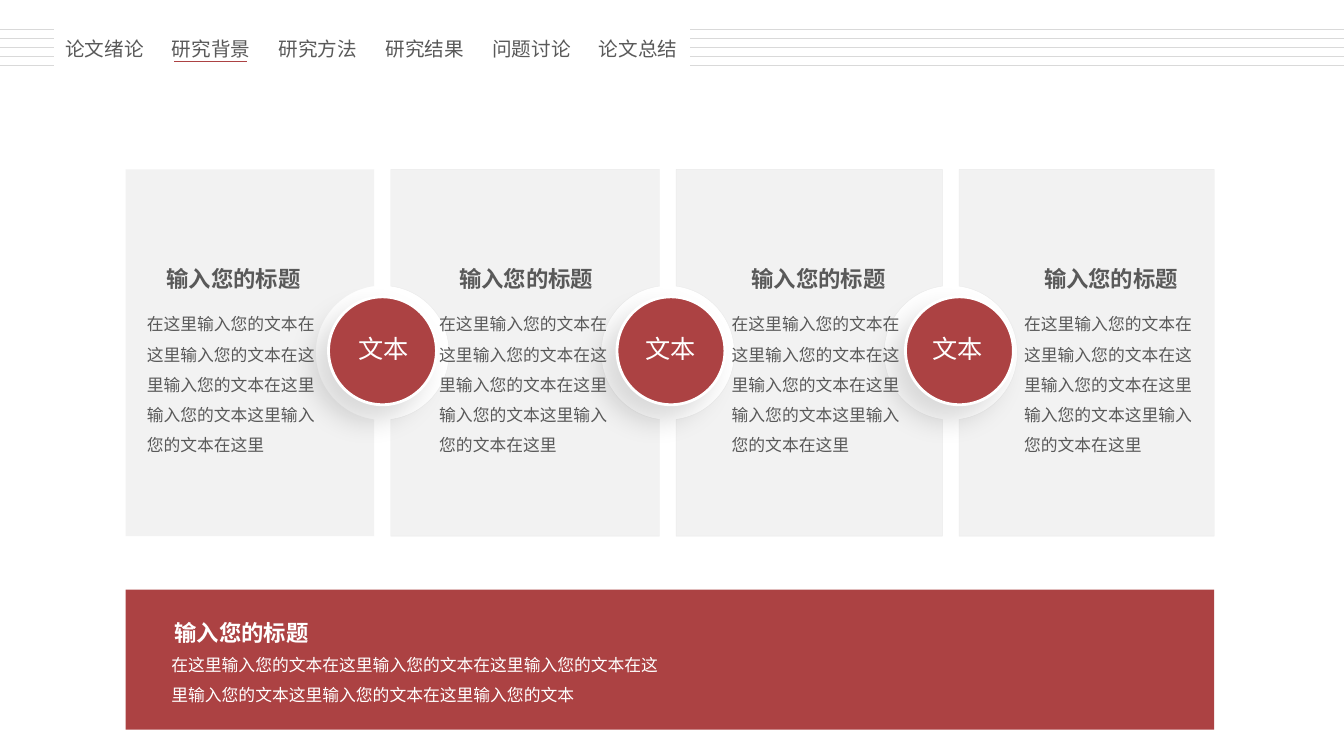
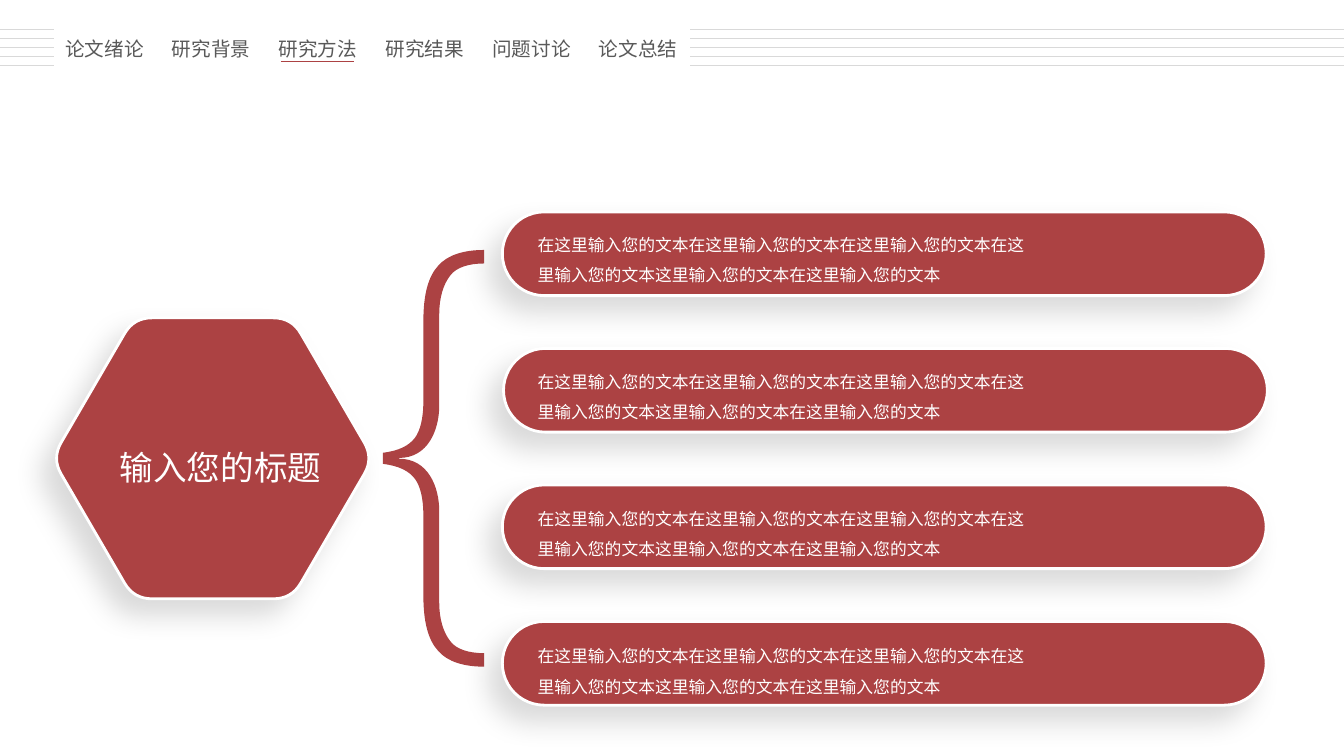
from lxml import etree
from math import dist
from pptx import Presentation
from pptx import util as u
from pptx.dml.color import RGBColor
from pptx.enum import shapes, text
from pptx.oxml.ns import qn

# Shared style; all lengths are in centimetres
COLOURS = {"red": "AC4243", "panel": "F2F2F2", "edge": "EAEAEA",
           "rule": "D9D9D9", "ink": "595959", "white": "FFFFFF",
           "shadow": "000000"}
FONT = "Noto Sans CJK SC"
SLIDE_WIDTH, SLIDE_HEIGHT = 33.87, 19.05
TABS = ["论文绪论", "研究背景", "研究方法", "研究结果", "问题讨论", "论文总结"]
HEADING = "输入您的标题"
CARD_TEXT = "在这里输入您的文本" * 4 + "这里输入您的文本在这里"
WIDE_TEXT = CARD_TEXT + "输入您的文本"


def colour(name):
    return RGBColor.from_string(COLOURS[name])


def paint(shape, fill, line=None, width=0.25):
    shape.shadow.inherit = False
    shape.fill.solid()
    shape.fill.fore_color.rgb = colour(fill)
    if line:
        shape.line.color.rgb = colour(line)
        shape.line.width = u.Pt(width)
    else:
        shape.line.fill.background()


def paint_raised(shape):
    """Red fill, white rim and a soft shadow to the lower left."""
    paint(shape, "red", "white", 2)
    effects = shape._element.spPr.find(qn("a:effectLst"))
    cast = etree.SubElement(effects, qn("a:outerShdw"), blurRad=str(u.Pt(20)),
                            dist=str(u.Pt(15)), dir=str(135 * 60000),
                            algn="tr", rotWithShape="0")
    tint = etree.SubElement(cast, qn("a:srgbClr"), val=COLOURS["shadow"])
    etree.SubElement(tint, qn("a:alpha"), val="15000")


def add_preset(page, kind, left, top, width, height):
    return page.shapes.add_shape(kind, u.Cm(left), u.Cm(top),
                                 u.Cm(width), u.Cm(height))


def add_outline(page, start, segments):
    """Closed outline: one point makes a line, three points make a curve."""
    points = [(u.Cm(x), u.Cm(y)) for segment in segments for x, y in segment]
    builder = page.shapes.build_freeform(u.Cm(start[0]), u.Cm(start[1]), scale=1.0)
    builder.add_line_segments(points, close=True)
    shape = builder.convert_to_shape()
    steps = iter(list(shape._element.iter(qn("a:lnTo"))))
    for segment in segments:
        first, *others = [next(steps) for _ in segment]
        if others:
            first.tag = qn("a:cubicBezTo")
            for step in others:
                first.append(step[0])
                step.getparent().remove(step)
    return shape


def add_line(page, x1, x2, y, name):
    line = page.shapes.add_connector(shapes.MSO_CONNECTOR.STRAIGHT, u.Cm(x1),
                                     u.Cm(y), u.Cm(x2), u.Cm(y))
    line.line.color.rgb = colour(name)
    line.line.width = u.Pt(0.5)
    etree.SubElement(line._element.spPr, qn("a:effectLst"))


def add_text(page, words, left, top, width, height, size=12, name="white",
             bold=False, centred=False, spacing=None, wrap=True,
             inset=(0.25, 0.13)):
    box = page.shapes.add_textbox(u.Cm(left), u.Cm(top),
                                  u.Cm(width), u.Cm(height))
    frame = box.text_frame
    frame.word_wrap = wrap
    frame.auto_size = text.MSO_AUTO_SIZE.SHAPE_TO_FIT_TEXT
    frame.margin_left = frame.margin_right = u.Cm(inset[0])
    frame.margin_top = frame.margin_bottom = u.Cm(inset[1])
    para = frame.paragraphs[0]
    para.alignment = text.PP_ALIGN.CENTER if centred else text.PP_ALIGN.LEFT
    if spacing:
        para.line_spacing = spacing
    span = para.add_run()
    span.text = words
    span.font.size = u.Pt(size)
    span.font.bold = bold
    span.font.color.rgb = colour(name)
    span.font.name = FONT
    etree.SubElement(span._r.get_or_add_rPr(), qn("a:ea"), typeface=FONT)


def add_heading(page, left, top, name):
    add_text(page, HEADING, left, top, 4.8, 1.09, size=16, name=name, bold=True,
             centred=True, spacing=1.3, inset=(0.18, 0.1))


def add_body(page, words, left, top, width, height, name="white"):
    add_text(page, words, left, top, width, height, name=name, spacing=1.5,
             inset=(0, 0))


# Navigation strip
def add_navigation(page, active, left=1.38, top=0.81, pitch=2.69):
    for row in range(5):
        y = 0.73 + 0.23 * row
        add_line(page, 0, left - 0.03, y, "rule")
        add_line(page, 17.4, SLIDE_WIDTH, y, "rule")
    for index, tab in enumerate(TABS):
        add_text(page, tab, left + pitch * index, top, 2.51, 0.86, size=14,
                 name="ink", centred=True, wrap=False)
    start = left + pitch * active + 0.32
    add_line(page, start, start + 1.83, top + 0.74, "red")


# Background slide
def notch(edge, middle, side):
    """Two curves cut into a panel edge; side is the way into the panel,
    and the cut runs down a right edge (-1) and up a left edge (1)."""
    offsets = [[(0.84, -1.57), (1.47, -0.86), (1.47, 0)],
               [(1.47, 0.86), (0.84, 1.57), (0, 1.68)]]
    return [[(edge + side * x, middle - side * y) for x, y in curve]
            for curve in offsets]


def add_panels(page, left, top, width, height, seams, gap=0.42, reach=1.68):
    """Panels parted at the seams, with a round notch at each seam."""
    bottom, middle = top + height, top + height / 2
    starts = [left] + [seam + gap / 2 for seam in seams]
    ends = [seam - gap / 2 for seam in seams] + [left + width]
    for index, (start, end) in enumerate(zip(starts, ends)):
        segments = [[(end, top)]]
        if index < len(seams):
            segments += [[(end, middle - reach)]] + notch(end, middle, -1)
        segments += [[(end, bottom)], [(start, bottom)]]
        if index:
            segments += [[(start, middle + reach)]] + notch(start, middle, 1)
        panel = add_outline(page, (start, top), segments)
        paint(panel, "panel", "edge" if index else None)


def add_cards(page, left, top, pitch=7.37):
    for index in range(4):
        x = left + pitch * index
        add_heading(page, x, top, "ink")
        add_body(page, CARD_TEXT, x + 0.21, top + 1.29, 4.37, 3.84, "ink")


def add_discs(page, left, top, size=2.72):
    for index in range(3):
        paint_raised(add_preset(page, shapes.MSO_SHAPE.OVAL,
                                left + 7.27 * index, top, size, size))


def add_disc_labels(page, left, top):
    for index in range(3):
        add_text(page, "文本", left + 7.23 * index, top, 1.8, 1.02, size=18,
                 wrap=False)


def add_summary(page, left, top, width, height):
    paint(add_preset(page, shapes.MSO_SHAPE.RECTANGLE, left, top, width, height),
          "red")
    add_heading(page, left + 0.52, top + 0.43, "white")
    add_body(page, WIDE_TEXT, left + 1.15, top + 1.39, 12.5, 1.45)


def build_background(page):
    add_panels(page, 3.17, 4.27, 27.43, 9.24, [9.64, 16.83, 23.96])
    add_summary(page, 3.17, 14.86, 27.43, 3.53)
    add_discs(page, 8.28, 7.48)
    add_cards(page, 3.49, 6.37)
    add_disc_labels(page, 8.78, 8.28)
    add_navigation(page, 1)


# Method slide
def between(a, b, share):
    return a[0] + (b[0] - a[0]) * share, a[1] + (b[1] - a[1]) * share


def rounded(corners, cut):
    """Start point and segments of a polygon with two curves per corner."""
    segments = []
    for index, corner in enumerate(corners):
        before, after = corners[index - 1], corners[(index + 1) % len(corners)]
        start = between(corner, before, cut / dist(corner, before))
        end = between(corner, after, cut / dist(corner, after))
        near, far = between(start, corner, 0.5), between(corner, end, 0.5)
        peak = between(near, far, 0.5)
        segments += [[start],
                     [between(start, near, 2 / 3), between(peak, near, 2 / 3), peak],
                     [between(peak, far, 2 / 3), between(end, far, 2 / 3), end]]
    return segments[0][0], segments[1:]


def add_hexagon(page, centre_x, centre_y):
    half_width, half_height, half_top = 4.05, 3.54, 1.99
    corners = [(-half_width, 0), (-half_top, -half_height),
               (half_top, -half_height), (half_width, 0),
               (half_top, half_height), (-half_top, half_height)]
    corners = [(centre_x + x, centre_y + y) for x, y in corners]
    paint_raised(add_outline(page, *rounded(corners, 0.46)))
    add_text(page, HEADING, centre_x - 2.59, centre_y - 0.41, 5.97, 1.27, size=24)


def add_brace(page, left, centre_y):
    # Upper half, from the tip to the inner middle
    tip = (0, -0.14)
    upper = [
        [(0.41, -0.19), (0.66, -0.32), (0.81, -0.52)],
        [(0.94, -0.7), (1.02, -1), (1.02, -1.44)],
        [(1.02, -3.44)],
        [(1.02, -4.13), (1.14, -4.58), (1.4, -4.86)],
        [(1.63, -5.12), (2.03, -5.25), (2.55, -5.25)],
        [(2.55, -4.91)],
        [(2.16, -4.91), (1.85, -4.81), (1.7, -4.61)],
        [(1.52, -4.38), (1.42, -4.05), (1.42, -3.62)],
        [(1.42, -1.33)],
        [(1.42, -0.72), (1.14, -0.01), (0.41, -0.01)],
    ]
    # Lower half: the same path mirrored and walked back to the tip
    lower = [[(0.41, 0.01)]]
    stops = [tip] + [segment[-1] for segment in upper]
    for stop, segment in reversed(list(zip(stops, upper))):
        walk = segment[-2::-1] + [stop]
        lower.append([(x, -y) for x, y in walk])
    segments = [[(left + x, centre_y + y) for x, y in segment]
                for segment in upper + lower]
    paint(add_outline(page, (left + tip[0], centre_y + tip[1]), segments), "red")


def add_pills(page, left, top, width, height):
    for index in range(4):
        nudge = 0.03 if index == 1 else 0
        pill = add_preset(page, shapes.MSO_SHAPE.ROUNDED_RECTANGLE, left + nudge,
                          top + 3.44 * index, width, height)
        pill.adjustments[0] = 0.5
        paint_raised(pill)
    for index in range(4):
        add_body(page, WIDE_TEXT, left + 0.89, top + 0.31 + 3.46 * index,
                 12.5, 1.45)


def build_method(page):
    add_hexagon(page, 5.36, 11.55)
    add_brace(page, 9.65, 11.55)
    add_pills(page, 12.66, 5.34, 19.25, 2.11)
    add_navigation(page, 2)


def main():
    deck = Presentation()
    deck.slide_width, deck.slide_height = u.Cm(SLIDE_WIDTH), u.Cm(SLIDE_HEIGHT)
    for build in (build_background, build_method):
        build(deck.slides.add_slide(deck.slide_layouts[6]))
    deck.save("out.pptx")


if __name__ == "__main__":
    main()
